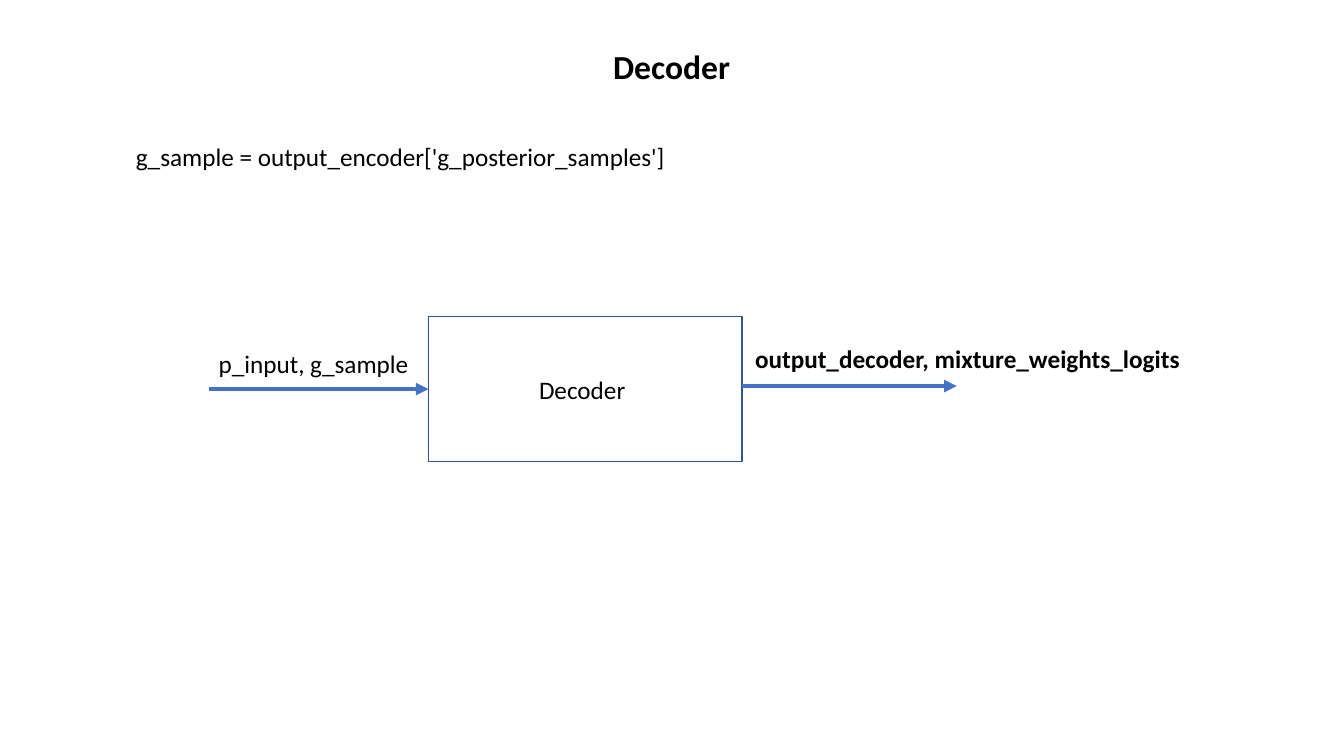
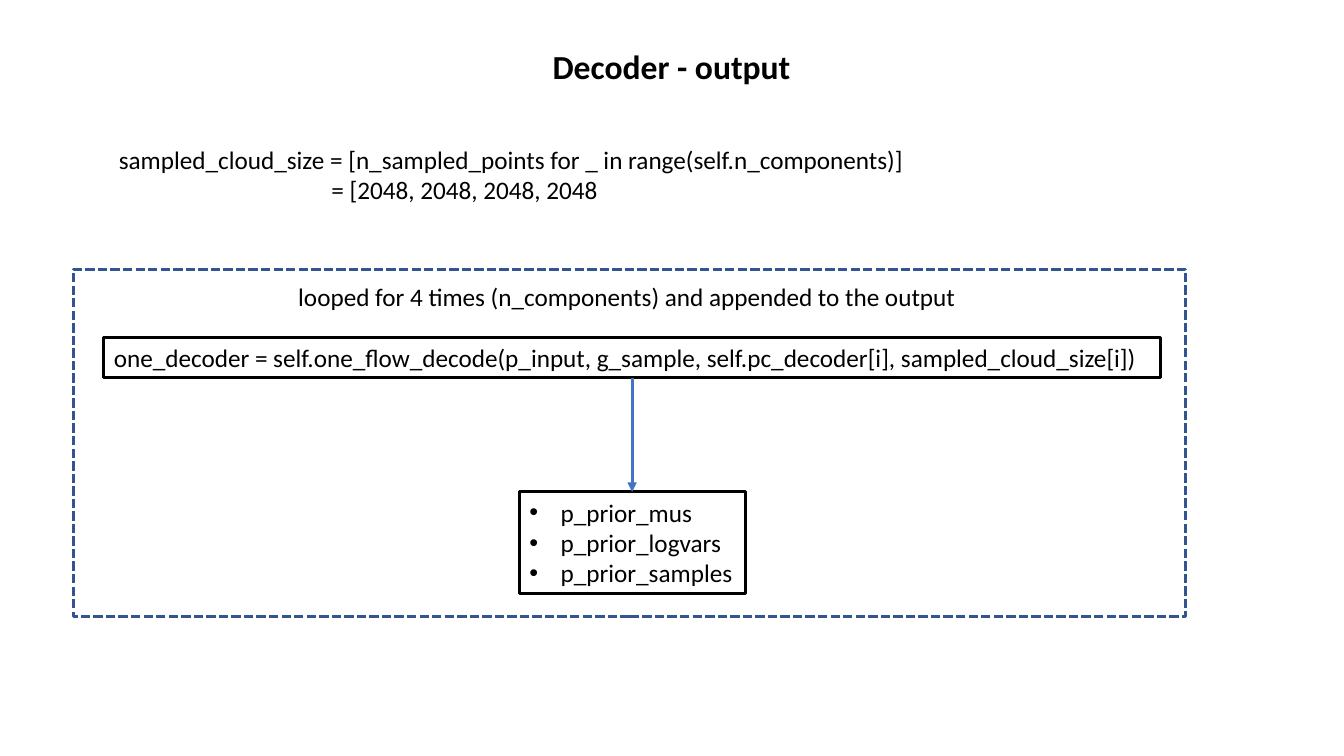
"""Build two slides that explain the decoder call and its output."""
import dataclasses

import lxml.etree
import pptx
import pptx.dml.color
import pptx.enum.dml
import pptx.enum.shapes
import pptx.enum.text
import pptx.oxml.ns
import pptx.util


@dataclasses.dataclass(frozen=True)
class Theme:
    font: str = "Calibri"
    title_size: int = 24
    body_size: int = 18
    black: str = "000000"
    outline: str = "325491"
    arrow: str = "4472C4"


theme = Theme()
PX = 9144
color = pptx.dml.color.RGBColor.from_string
ANCHOR = pptx.enum.text.MSO_ANCHOR
ALIGN = pptx.enum.text.PP_ALIGN


def add_box(slide, area, text="", bold=False, outline=None, line_width=2.25):
    place = [value * PX for value in area]
    if outline:
        shape = slide.shapes.add_shape(pptx.enum.shapes.MSO_SHAPE.RECTANGLE, *place)
        shape.shadow.inherit = False
        shape.fill.background()
        shape.line.color.rgb = color(outline)
        shape.line.width = pptx.util.Pt(line_width)
    else:
        shape = slide.shapes.add_textbox(*place)
    frame = shape.text_frame
    frame.word_wrap = True
    frame.vertical_anchor = ANCHOR.TOP
    frame.text = text
    for paragraph in frame.paragraphs:
        paragraph.alignment = ALIGN.LEFT
        paragraph.font.name = theme.font
        paragraph.font.size = pptx.util.Pt(theme.body_size)
        paragraph.font.bold = bold
        paragraph.font.color.rgb = color(theme.black)
    return shape


def add_arrow(slide, start, end, line_width):
    points = [value * PX for value in (*start, *end)]
    arrow = slide.shapes.add_connector(pptx.enum.shapes.MSO_CONNECTOR.STRAIGHT, *points)
    arrow.line.color.rgb = color(theme.arrow)
    arrow.line.width = pptx.util.Pt(line_width)
    line = arrow.line._get_or_add_ln()
    lxml.etree.SubElement(line, pptx.oxml.ns.qn("a:tailEnd"), type="triangle")
    properties = arrow._element.spPr
    lxml.etree.SubElement(properties, pptx.oxml.ns.qn("a:effectLst"))
    return arrow


presentation = pptx.Presentation()
presentation.slide_width = 1333 * PX
presentation.slide_height = 750 * PX

slides = []
for layout_index, heading in ((5, "Decoder"), (1, "Decoder - output")):
    slide = presentation.slides.add_slide(presentation.slide_layouts[layout_index])
    title = slide.shapes.title
    title.left, title.top, title.width, title.height = 67 * PX, 41 * PX, 1198 * PX, 50 * PX
    title.text_frame.text = heading
    title.text_frame.auto_size = pptx.enum.text.MSO_AUTO_SIZE.NONE
    paragraph = title.text_frame.paragraphs[0]
    paragraph.alignment = ALIGN.CENTER
    paragraph.font.name = theme.font
    paragraph.font.size = pptx.util.Pt(theme.title_size)
    paragraph.font.bold = True
    paragraph.font.color.rgb = color(theme.black)
    slides.append(slide)
overview, output = slides

add_box(overview, (125, 135, 570, 40), "g_sample = output_encoder['g_posterior_samples']")
decoder = add_box(overview, (425, 314, 311, 144), "Decoder", outline=theme.outline, line_width=1)
decoder.text_frame.vertical_anchor = ANCHOR.MIDDLE
decoder.text_frame.margin_right = 16 * PX
decoder.text_frame.paragraphs[0].alignment = ALIGN.CENTER
input_arrow = add_arrow(overview, (207, 386), (425, 386), 3)
input_arrow.end_connect(decoder, 1)
add_box(overview, (207, 341, 218, 40), "p_input, g_sample")
add_arrow(overview, (736, 383), (949, 383), 3)
add_box(overview, (739, 336, 460, 40), "output_decoder, mixture_weights_logits", bold=True)

cloud_size = add_box(
    output,
    (108, 138, 830, 71),
    "sampled_cloud_size = [n_sampled_points for _ in range(self.n_components)]\n"
    "= [2048, 2048, 2048, 2048",
)
second_line = cloud_size.text_frame.paragraphs[1]._p.get_or_add_pPr()
second_line.set("marL", str(211 * PX))

code = add_box(
    output,
    (103, 335, 1048, 40),
    "one_decoder = self.one_flow_decode(p_input, g_sample, self.pc_decoder[i], sampled_cloud_size[i])",
    outline=theme.black,
)

results = output.placeholders[1]
results.left, results.top, results.width, results.height = 515 * PX, 488 * PX, 224 * PX, 101 * PX
results.line.color.rgb = color(theme.black)
results.line.width = pptx.util.Pt(2.25)
results.text_frame.text = "p_prior_mus\np_prior_logvars\np_prior_samples"
results.text_frame.auto_size = pptx.enum.text.MSO_AUTO_SIZE.NONE
results.text_frame.margin_right = 0
for paragraph in results.text_frame.paragraphs:
    paragraph.space_before = pptx.util.Pt(0)
    paragraph.font.name = theme.font
    paragraph.font.size = pptx.util.Pt(theme.body_size)
    paragraph.font.color.rgb = color(theme.black)
    bullet = paragraph._p.get_or_add_pPr()
    bullet.set("marL", str(31 * PX))
    bullet.set("indent", str(-31 * PX))

result_arrow = add_arrow(output, (627, 375), (627, 488), 2.25)
result_arrow.begin_connect(code, 2)
result_arrow.end_connect(results, 0)

loop_frame = add_box(output, (73, 267, 1103, 345), outline=theme.outline)
loop_frame.line.dash_style = pptx.enum.dml.MSO_LINE.SQUARE_DOT
add_box(
    output,
    (286, 274, 700, 40),
    "looped for 4 times (n_components) and appended to the output",
)

presentation.save("out.pptx")
